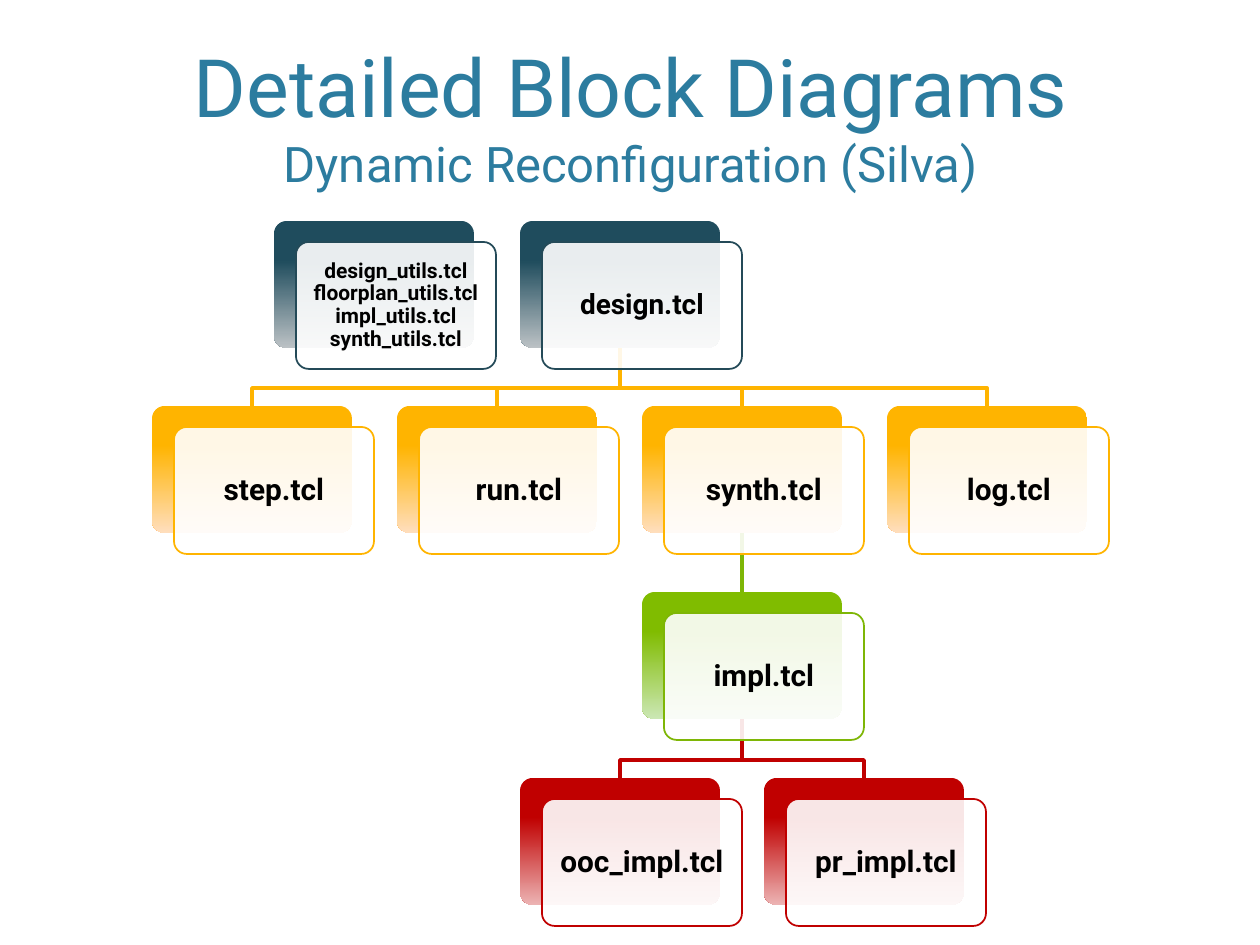
from lxml import etree
from pptx import Presentation
from pptx.dml.color import RGBColor
from pptx.enum.shapes import MSO_CONNECTOR, MSO_SHAPE
from pptx.enum.text import MSO_ANCHOR, MSO_AUTO_SIZE, PP_ALIGN
from pptx.oxml.ns import qn
from pptx.util import Emu, Pt

ROUND_RECT = MSO_SHAPE.ROUNDED_RECTANGLE
STRAIGHT = MSO_CONNECTOR.STRAIGHT
CENTER = PP_ALIGN.CENTER
MIDDLE, BOTTOM = MSO_ANCHOR.MIDDLE, MSO_ANCHOR.BOTTOM
NO_AUTOFIT = MSO_AUTO_SIZE.NONE

# Content
FONT = "Roboto"
TITLE_LINES = [("Detailed Block Diagrams", 46),
               ("Dynamic Reconfiguration (Silva)", 28)]
TITLE_COLOR = "2C7C9F"
UTILITIES = ["design_utils.tcl", "floorplan_utils.tcl",
             "impl_utils.tcl", "synth_utils.tcl"]

# One entry per row: gradient start, gradient end, outline
ROW_COLORS = [("1F4C5D", "BCC2C5", "244A58"),
              ("FFB400", "FFDEBD", "FFB400"),
              ("80BC00", "CBE7B4", "7EB606"),
              ("C00000", "ECB3B3", "C00000")]

# Label, row, column, text size, text inset
BLOCKS = [("\v".join(UTILITIES), 0, 0.5, 12, 10),
          ("design.tcl", 0, 1.5, 16, 13),
          ("step.tcl", 1, 0, 17, 13),
          ("run.tcl", 1, 1, 17, 13),
          ("synth.tcl", 1, 2, 17, 13),
          ("log.tcl", 1, 3, 17, 13),
          ("impl.tcl", 2, 2, 17, 13),
          ("ooc_impl.tcl", 3, 1.5, 17, 13),
          ("pr_impl.tcl", 3, 2.5, 17, 13)]
CALLS = {"design.tcl": ["step.tcl", "run.tcl", "synth.tcl", "log.tcl"],
         "synth.tcl": ["impl.tcl"],
         "impl.tcl": ["ooc_impl.tcl", "pr_impl.tcl"]}

# Layout in px
PX = 914400 / 126
FIRST_LEFT, COLUMN_PITCH = 152, 245
ROW_TOPS = [221, 406, 592, 778]
BLOCK_W, BLOCK_H = 200, 127
FRONT_DX, FRONT_DY = 22, 21
ELBOW_RISE = 18


def px(length):
    return Emu(round(length * PX))


def rgb(color):
    return RGBColor.from_string(color)


def block_origin(row, column):
    return round(FIRST_LEFT + COLUMN_PITCH * column), ROW_TOPS[row]


def style_run(run, size, color, bold=False):
    run.font.name = FONT
    run.font.size = Pt(size)
    run.font.bold = bold
    run.font.color.rgb = rgb(color)


def add_title(slide):
    title = slide.shapes.title
    title.left, title.top, title.width, title.height = map(px, (76, 15, 1109, 184))
    frame = title.text_frame
    frame.text = "\v".join(words for words, _ in TITLE_LINES)
    frame.auto_size = NO_AUTOFIT
    frame.vertical_anchor = BOTTOM
    heading = frame.paragraphs[0]
    heading.alignment = CENTER
    for run, (_, size) in zip(heading.runs, TITLE_LINES):
        style_run(run, size, TITLE_COLOR)


def add_link(slide, parent, child):
    """Join the bottom of the parent block to the top of the child block."""
    parent_left, parent_top = block_origin(*parent)
    child_left, end_y = block_origin(*child)
    start_x, end_x = parent_left + BLOCK_W // 2, child_left + BLOCK_W // 2
    start_y, elbow_y = parent_top + BLOCK_H, end_y - ELBOW_RISE
    if start_x == end_x:
        link = slide.shapes.add_connector(
            STRAIGHT, px(start_x), px(start_y), px(end_x), px(end_y))
        etree.SubElement(link.element.spPr, qn("a:effectLst"))
    else:
        outline = slide.shapes.build_freeform(start_x, start_y, scale=PX)
        outline.add_line_segments(
            [(start_x, elbow_y), (end_x, elbow_y), (end_x, end_y)], close=False)
        link = outline.convert_to_shape()
        link.fill.background()
        link.shadow.inherit = False
    link.line.color.rgb = rgb(ROW_COLORS[child[0]][2])
    link.line.width = Pt(2)


def add_card(slide, left, top):
    card = slide.shapes.add_shape(
        ROUND_RECT, px(left), px(top), px(BLOCK_W), px(BLOCK_H))
    card.adjustments[0] = 0.1
    card.shadow.inherit = False
    return card


def add_block(slide, label, row, column, size, inset):
    left, top = block_origin(row, column)
    start, end, outline = ROW_COLORS[row]

    # Gradient card behind
    back = add_card(slide, left, top)
    back.line.fill.background()
    back.fill.gradient()
    back.fill.gradient_angle = 270
    for stop, color, position in zip(back.fill.gradient_stops, (start, end), (0.31, 1)):
        stop.color.rgb = rgb(color)
        stop.position = position

    # Translucent white card in front, carrying the label
    front = add_card(slide, left + FRONT_DX, top + FRONT_DY)
    front.fill.solid()
    front.fill.fore_color.rgb = rgb("FFFFFF")
    white = front.element.spPr.find(qn("a:solidFill"))[0]
    etree.SubElement(white, qn("a:alpha"), val="90000")
    front.line.color.rgb = rgb(outline)
    front.line.width = Pt(1)

    frame = front.text_frame
    frame.text = label
    frame.word_wrap = True
    frame.vertical_anchor = MIDDLE
    frame.margin_left = frame.margin_right = px(inset)
    frame.margin_top = frame.margin_bottom = px(inset)
    caption = frame.paragraphs[0]
    caption.alignment = CENTER
    caption.line_spacing = 0.9
    for run in caption.runs:
        style_run(run, size, "000000", bold=True)


def main():
    deck = Presentation()
    deck.slide_width, deck.slide_height = px(1260), px(945)
    slide = deck.slides.add_slide(deck.slide_layouts[5])
    add_title(slide)

    # Links lie beneath the blocks
    places = {label: (row, column) for label, row, column, _, _ in BLOCKS}
    for caller, callees in CALLS.items():
        for callee in callees:
            add_link(slide, places[caller], places[callee])
    for block in BLOCKS:
        add_block(slide, *block)

    deck.save("out.pptx")


if __name__ == "__main__":
    main()
